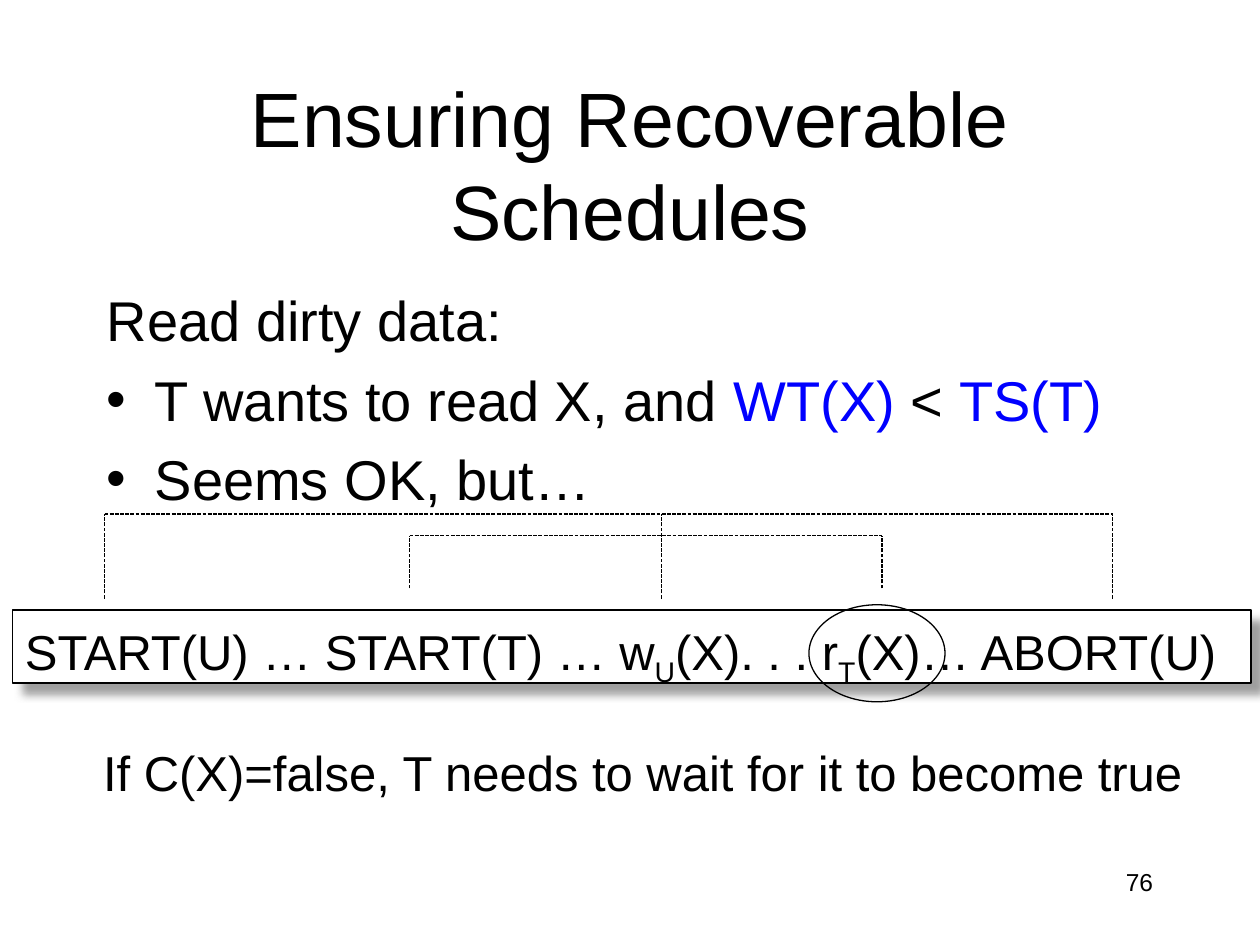
from lxml import etree
from pptx import Presentation
from pptx.dml.color import RGBColor
from pptx.enum.dml import MSO_LINE
from pptx.enum.shapes import MSO_CONNECTOR, MSO_SHAPE
from pptx.enum.text import MSO_ANCHOR, PP_ALIGN
from pptx.oxml.ns import qn
from pptx.util import Inches, Pt

BLACK = RGBColor(0, 0, 0)
WHITE = RGBColor(255, 255, 255)
BLUE = RGBColor(0, 0, 255)
SHADOW = RGBColor(128, 128, 128)
DASH = MSO_LINE.SQUARE_DOT
STRAIGHT = MSO_CONNECTOR.STRAIGHT
MIDDLE, TOP = MSO_ANCHOR.MIDDLE, MSO_ANCHOR.TOP
LEFT, CENTER, RIGHT = PP_ALIGN.LEFT, PP_ALIGN.CENTER, PP_ALIGN.RIGHT


def add_run(p, text, size, color=BLACK, baseline=0):
    r = p.add_run()
    r.text = text
    r.font.name = "Arial"
    r.font.size = Pt(size)
    r.font.color.rgb = color
    if baseline:
        r.font._element.set("baseline", str(baseline * 1000))


def add_text(s, box, text, size, align=LEFT, anchor=TOP, wrap=True):
    tf = s.shapes.add_textbox(*map(Inches, box)).text_frame
    tf.word_wrap = wrap
    tf.vertical_anchor = anchor
    p = tf.paragraphs[0]
    p.alignment = align
    add_run(p, text, size)


def add_body(s, box):
    tf = s.shapes.add_textbox(*map(Inches, box)).text_frame
    tf.word_wrap = True
    tf.margin_top = Inches(0.1)
    lines = [
        [("Read dirty data:", BLACK)],
        [("T wants to read X, and ", BLACK), ("WT(X) ", BLUE),
         ("< ", BLACK), ("TS(T)", BLUE)],
        [("Seems OK, but…", BLACK)],
    ]
    for i, runs in enumerate(lines):
        p = tf.add_paragraph() if i else tf.paragraphs[0]
        pPr = p._p.get_or_add_pPr()
        pPr.set("marL", str(Inches(0.38)))
        pPr.set("indent", str(-Inches(0.38)))
        # The lead-in has no bullet
        if i:
            p.space_before = Pt(7)
            etree.SubElement(pPr, qn("a:buFont")).set("typeface", "Arial")
            etree.SubElement(pPr, qn("a:buChar")).set("char", "•")
        for text, color in runs:
            add_run(p, text, 32, color)


def add_outlined(s, kind, box):
    sp = s.shapes.add_shape(kind, *map(Inches, box))
    sp.shadow.inherit = False
    sp.line.color.rgb = BLACK
    sp.line.width = Pt(0.75)
    return sp


def add_schedule(s, box):
    sp = add_outlined(s, MSO_SHAPE.RECTANGLE, box)
    sp.fill.solid()
    sp.fill.fore_color.rgb = WHITE
    # Drop shadow to the lower right
    effects = sp._element.spPr.find(qn("a:effectLst"))
    shadow = etree.SubElement(effects, qn("a:outerShdw"), blurRad=str(Pt(5)),
                              dist=str(Pt(8.5)), dir="2700000",
                              algn="tl", rotWithShape="0")
    color = etree.SubElement(shadow, qn("a:srgbClr"), val=str(SHADOW))
    etree.SubElement(color, qn("a:alpha"), val="75000")

    tf = sp.text_frame
    tf.word_wrap = True
    tf.vertical_anchor = TOP
    tf.margin_top = Inches(0.09)
    p = tf.paragraphs[0]
    p.alignment = LEFT
    for text, baseline in [("START(U) … START(T) … w", 0), ("U", -25),
                           ("(X). . . r", 0), ("T", -25),
                           ("(X)… ABORT(U)", 0)]:
        add_run(p, text, 28, baseline=baseline)


def add_bracket(s, top, bottom, xs):
    """Dashed bar at top, with a leg down to bottom at each x."""
    lines = [(x, bottom, x, top) for x in xs]
    lines.append((xs[0], top, xs[-1], top))
    for ends in lines:
        c = s.shapes.add_connector(STRAIGHT, *map(Inches, ends))
        c.line.color.rgb = BLACK
        c.line.width = Pt(0.75)
        c.line.dash_style = DASH
        etree.SubElement(c._element.spPr, qn("a:effectLst"))


def main():
    prs = Presentation()
    prs.slide_width, prs.slide_height = Inches(10), Inches(7.5)
    s = prs.slides.add_slide(prs.slide_layouts[6])

    # Title and body
    add_text(s, (0.75, 0.67, 8.5, 1.25), "Ensuring Recoverable Schedules",
             44, CENTER, MIDDLE)
    add_body(s, (0.75, 2.17, 8.5, 4.5))

    # Schedule, with the dirty read circled
    add_schedule(s, (0.1, 4.84, 9.83, 0.58))
    add_text(s, (0.72, 5.84, 8.8, 0.57),
             "If C(X)=false, T needs to wait for it to become true",
             28, wrap=False)
    add_outlined(s, MSO_SHAPE.OVAL, (6.42, 4.8, 1.08, 0.77)).fill.background()

    # Page number
    add_text(s, (7.17, 6.83, 2.08, 0.5), "76", 14, RIGHT)

    # Brackets for transactions T and U
    add_bracket(s, 4.25, 4.67, (3.25, 7))
    add_bracket(s, 4.08, 4.75, (0.83, 5.25, 8.83))

    prs.save("out.pptx")


if __name__ == "__main__":
    main()
